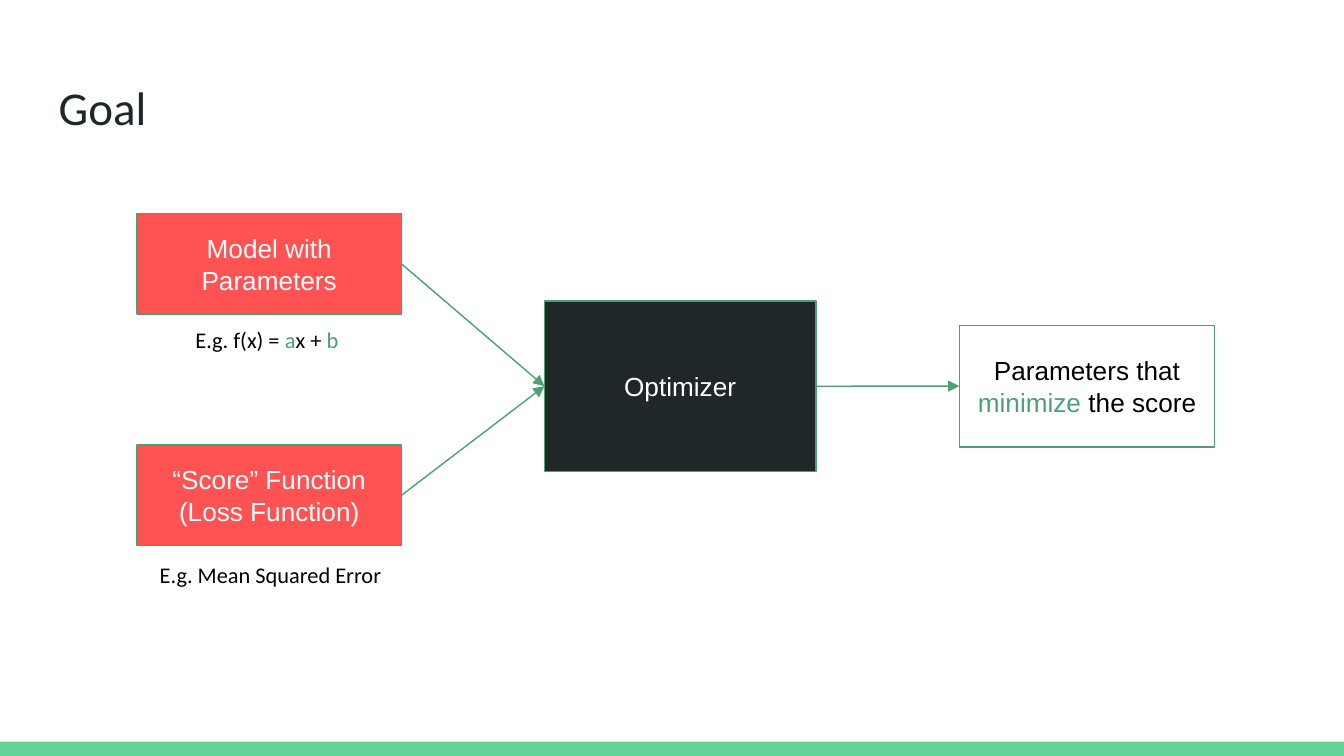
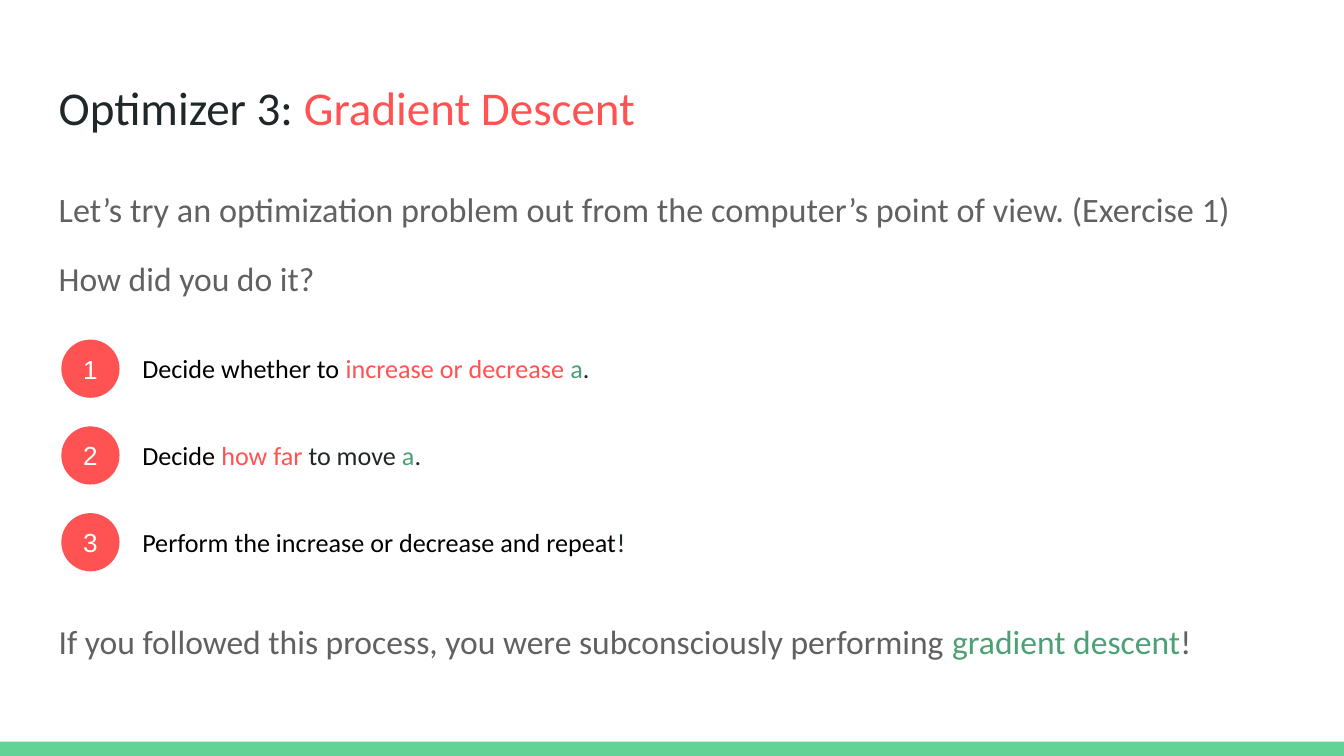
from lxml.etree import SubElement
from pptx import Presentation
from pptx.dml.color import RGBColor
from pptx.enum.shapes import MSO_CONNECTOR as Connector, MSO_SHAPE as Shape
from pptx.enum.text import MSO_ANCHOR as Anchor, PP_ALIGN as Align
from pptx.oxml.ns import qn
from pptx.util import Cm, Pt

COLORS = {
    "band": "63D297",
    "green": "4BA173",
    "red": "FF5252",
    "dark": "202729",
    "gray": "616161",
    "black": "000000",
    "white": "FFFFFF",
}
WIDTH, HEIGHT = 25.4, 14.29
BAND_HEIGHT = 0.27
MARGIN = 0.86
INSET = 0.25
TOP, LEFT, RIGHT = 0, 1, 3


def rgb(name):
    """Return the palette colour with this name."""
    return RGBColor.from_string(COLORS[name])


def write(holder, *lines, font="Calibri", size=14, color="black",
          align=Align.LEFT, anchor=Anchor.TOP, spacing=None, after=None):
    """Fill a shape with lines, each a string or a list of strings and (string, colour) pairs."""
    frame = holder.text_frame
    frame.word_wrap = True
    frame.vertical_anchor = anchor
    frame.margin_left = frame.margin_right = Cm(INSET)
    frame.margin_top = frame.margin_bottom = Cm(INSET)
    for index, line in enumerate(lines):
        paragraph = frame.add_paragraph() if index else frame.paragraphs[0]
        paragraph.alignment = align
        if spacing:
            paragraph.line_spacing = spacing
        if after:
            paragraph.space_after = Pt(after)
        for part in [line] if isinstance(line, str) else line:
            words, tint = (part, color) if isinstance(part, str) else part
            run = paragraph.add_run()
            run.text = words
            run.font.name = font
            run.font.size = Pt(size)
            run.font.color.rgb = rgb(tint)


def add_label(slide, left, top, width, height, *lines, **style):
    """Add a text box."""
    label = slide.shapes.add_textbox(Cm(left), Cm(top), Cm(width), Cm(height))
    write(label, *lines, **style)


def add_block(slide, left, top, width, height, *lines,
              kind=Shape.RECTANGLE, fill=None, border=None, **style):
    """Add a preset shape with centred text."""
    block = slide.shapes.add_shape(kind, Cm(left), Cm(top), Cm(width), Cm(height))
    block.shadow.inherit = False
    if fill:
        block.fill.solid()
        block.fill.fore_color.rgb = rgb(fill)
    else:
        block.fill.background()
    if border:
        block.line.color.rgb = rgb(border)
        block.line.width = Pt(0.75)
    else:
        block.line.fill.background()
    if lines:
        write(block, *lines, font="Arial", align=Align.CENTER,
              anchor=Anchor.MIDDLE, **style)
    return block


def add_arrow(slide, source, target):
    """Join the right side of one block to the left side of another."""
    arrow = slide.shapes.add_connector(Connector.STRAIGHT, 0, 0, 0, 0)
    arrow.begin_connect(source, RIGHT)
    arrow.end_connect(target, LEFT)
    arrow.line.color.rgb = rgb("green")
    arrow.line.width = Pt(0.75)
    SubElement(arrow.line._get_or_add_ln(), qn("a:tailEnd"), type="triangle")
    SubElement(arrow._element.spPr, qn("a:effectLst"))


def add_statement(slide, top, line, size=18):
    """Add a line of grey body text."""
    add_label(slide, MARGIN, top, 23.8, 1.32, line, size=size, color="gray",
              spacing=1.15, after=12)


def add_step(slide, top, number, line):
    """Add a numbered circle with its instruction."""
    add_block(slide, 1.16, top, 1.1, 1.1, str(number), kind=Shape.OVAL,
              fill="red", color="white")
    add_label(slide, 2.44, top, 12.34, 1.12, line)


def add_page(deck, title):
    """Add a slide with the shared band and title."""
    slide = deck.slides.add_slide(deck.slide_layouts[6])
    add_block(slide, 0, HEIGHT - BAND_HEIGHT, WIDTH, BAND_HEIGHT, fill="band")
    add_label(slide, MARGIN, 1.24, 23.67, 1.6, title, size=25.2, color="dark")
    return slide


def build_goal(deck):
    """Build the diagram of what an optimizer does."""
    slide = add_page(deck, "Goal")
    inputs = {"fill": "red", "border": "green", "color": "white"}
    model = add_block(slide, 2.59, 4.04, 5, 1.9, "Model with Parameters", **inputs)
    score = add_block(slide, 2.59, 8.41, 5, 1.9,
                      "“Score” Function", "(Loss Function)", **inputs)
    add_label(slide, 2.71, 5.92, 4.67, 1.12,
              ["E.g. f(x) = ", ("a", "green"), "x + ", ("b", "green")],
              size=12, align=Align.CENTER)
    add_label(slide, 2.13, 10.36, 5.97, 1.12, "E.g. Mean Squared Error",
              size=12, align=Align.CENTER)
    optimizer = add_block(slide, 10.29, 5.69, 5.13, 3.22, "Optimizer",
                          fill="dark", border="green", color="white")
    result = add_block(slide, 18.13, 6.15, 4.83, 2.3,
                       ["Parameters that ", ("minimize", "green"), " the score"],
                       border="green")
    for source, target in [(model, optimizer), (score, optimizer), (optimizer, result)]:
        add_arrow(slide, source, target)


def build_descent(deck):
    """Build the slide on the steps of gradient descent."""
    slide = add_page(deck, ["Optimizer 3: ", ("Gradient Descent", "red")])
    add_statement(slide, 3.2, "Let’s try an optimization problem out from the "
                  "computer’s point of view. (Exercise 1)", size=18.3)
    add_statement(slide, 4.52, "How did you do it?")
    steps = [
        ["Decide whether to ", ("increase or decrease ", "red"),
         ("a", "green"), (".", "dark")],
        ["Decide ", ("how far ", "red"), ("to move ", "dark"),
         ("a", "green"), (".", "dark")],
        ["Perform the increase or decrease and repeat", ("!", "dark")],
    ]
    for index, step in enumerate(steps):
        add_step(slide, 6.42 + 1.64 * index, index + 1, step)
    add_statement(slide, 11.38, [
        "If you followed this process, you were subconsciously performing ",
        ("gradient descent", "green"), "!"])


def main():
    """Build and save the deck."""
    deck = Presentation()
    deck.slide_width, deck.slide_height = Cm(WIDTH), Cm(HEIGHT)
    build_goal(deck)
    build_descent(deck)
    deck.save("out.pptx")


if __name__ == "__main__":
    main()
